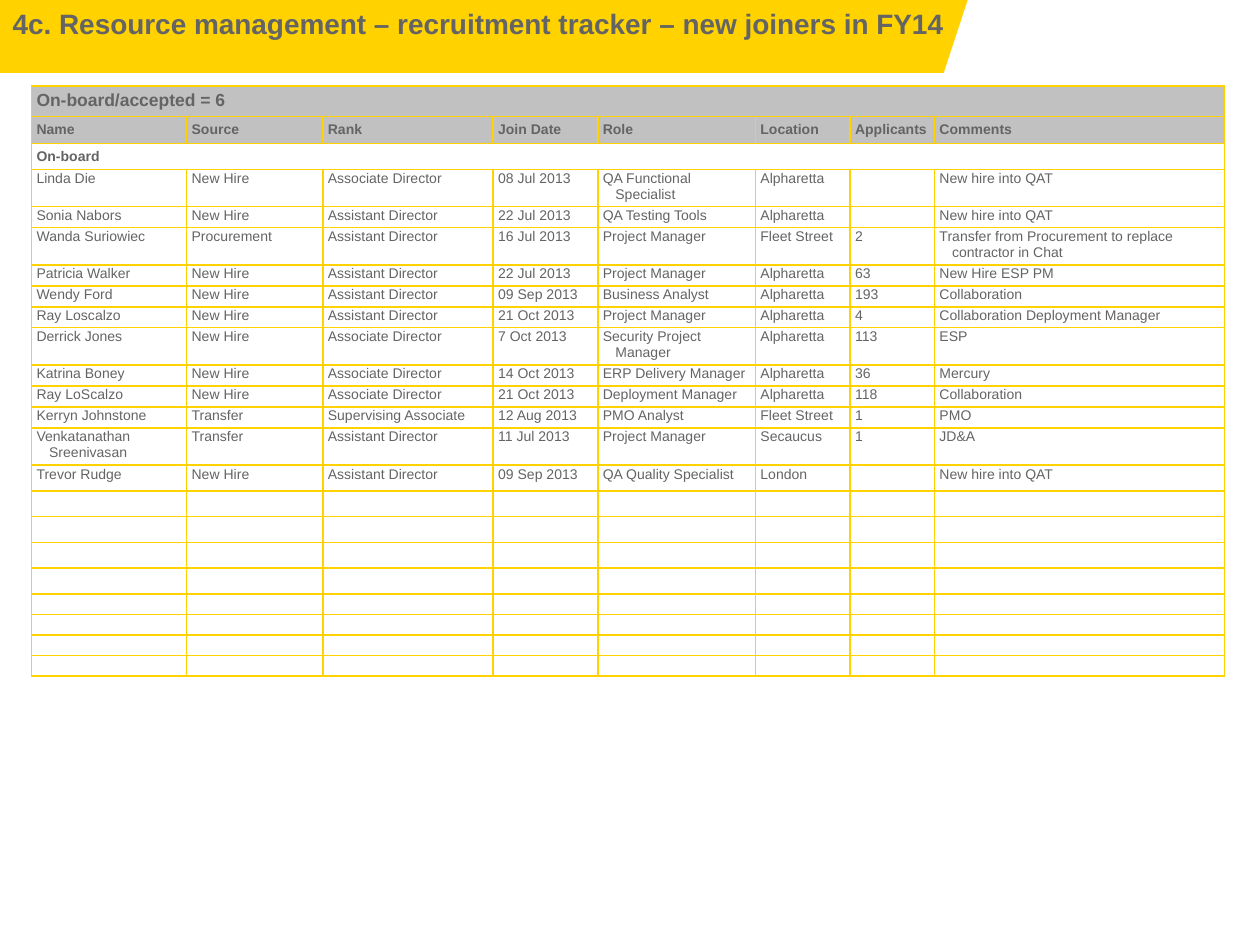
from dataclasses import dataclass

from lxml.etree import SubElement
from pptx import Presentation
from pptx.dml.color import RGBColor
from pptx.enum.text import MSO_ANCHOR, MSO_AUTO_SIZE, PP_ALIGN
from pptx.oxml.ns import qn
from pptx.util import Inches, Pt

YELLOW, GREY, SILVER, WHITE = "FFD200", "646464", "C1C1C1", "FFFFFF"
SLIDE_W, SLIDE_H = Inches(10), Inches(7.5)


@dataclass
class Row:
    texts: tuple = ()
    height: float = 12  # points
    size: float = 8
    bold: bool = False
    fill: str = WHITE
    inset: float = 0.01
    merged: bool = False
    clear: bool = False  # only the first cell is filled


COLUMNS = {"Name": 1.23, "Source": 1.08, "Rank": 1.35, "Join Date": 0.83,
           "Role": 1.25, "Location": 0.75, "Applicants": 0.67, "Comments": 2.3}
TALL = 21.25  # height of a row with two lines
AD, SD = "Assistant Director", "Associate Director"
PM, NEW, ALPHA = "Project Manager", "New Hire", "Alpharetta"

ROWS = [
    Row(("On-board/accepted = 6",), 17.5, 10, True, SILVER, 0.04, merged=True),
    Row(tuple(COLUMNS), 15.25, bold=True, fill=SILVER, inset=0.04),
    Row(("On-board",), 15, bold=True, inset=0.04, merged=True),
    Row(("Linda Die", NEW, SD, "08 Jul 2013", "QA Functional Specialist", ALPHA, "",
         "New hire into QAT"), TALL),
    Row(("Sonia Nabors", NEW, AD, "22 Jul 2013", "QA Testing Tools", ALPHA, "",
         "New hire into QAT")),
    Row(("Wanda Suriowiec", "Procurement", AD, "16 Jul 2013", PM, "Fleet Street", "2",
         "Transfer from Procurement to replace contractor in Chat"), TALL),
    Row(("Patricia Walker", NEW, AD, "22 Jul 2013", PM, ALPHA, "63", "New Hire ESP PM")),
    Row(("Wendy Ford", NEW, AD, "09 Sep 2013", "Business Analyst", ALPHA, "193",
         "Collaboration")),
    Row(("Ray Loscalzo", NEW, AD, "21 Oct 2013", PM, ALPHA, "4",
         "Collaboration Deployment Manager")),
    Row(("Derrick Jones", NEW, SD, "7 Oct 2013", "Security Project Manager", ALPHA, "113",
         "ESP"), TALL),
    Row(("Katrina Boney", NEW, SD, "14 Oct 2013", "ERP Delivery Manager", ALPHA, "36",
         "Mercury"), clear=True),
    Row(("Ray LoScalzo", NEW, SD, "21 Oct 2013", "Deployment Manager", ALPHA, "118",
         "Collaboration"), clear=True),
    Row(("Kerryn Johnstone", "Transfer", "Supervising Associate", "12 Aug 2013",
         "PMO Analyst", "Fleet Street", "1", "PMO"), clear=True),
    Row(("Venkatanathan Sreenivasan", "Transfer", AD, "11 Jul 2013", PM, "Secaucus", "1",
         "JD&A"), TALL, clear=True),
    Row(("Trevor Rudge", NEW, AD, "09 Sep 2013", "QA Quality Specialist", "London", "",
         "New hire into QAT"), 14.75, clear=True),
    *[Row(height=14.75, clear=True)] * 4,
    Row(height=11.75, clear=True),
    *[Row(height=11.75)] * 3,
]


def color(value: str) -> RGBColor:
    return RGBColor.from_string(value)


def across(share: float) -> int:
    return round(SLIDE_W * share)


def down(share: float) -> int:
    return round(SLIDE_H * share)


def write(p, text: str, *, size: float, bold: bool = False, after: float = 0) -> None:
    p.alignment = PP_ALIGN.LEFT
    p.space_before, p.space_after = Pt(0), Pt(after)
    if not text:
        SubElement(p._p, qn("a:endParaRPr"), sz=str(int(size * 100)))
        return
    r = p.add_run()
    r.text = text
    r.font.name, r.font.size, r.font.bold = "Arial", Pt(size), bold
    r.font.color.rgb = color(GREY)


def set_margins(box, x: float, y: float) -> None:
    box.margin_left = box.margin_right = Inches(x)
    box.margin_top = box.margin_bottom = Inches(y)


def add_borders(cell) -> None:
    tc_pr = cell._tc.get_or_add_tcPr()
    for side in "LRTB":
        ln = SubElement(tc_pr, qn(f"a:ln{side}"), w=str(Pt(1)))
        fill = SubElement(ln, qn("a:solidFill"))
        SubElement(fill, qn("a:srgbClr"), val=YELLOW)


def fill_cell(cell, text: str, row: Row, filled: bool) -> None:
    set_margins(cell, 0.04, row.inset)
    add_borders(cell)
    if filled:
        cell.fill.solid()
        cell.fill.fore_color.rgb = color(row.fill)
    else:
        cell.fill.background()
    p = cell.text_frame.paragraphs[0]
    p_pr = p._p.get_or_add_pPr()
    p_pr.set("marL", str(Inches(0.1)))
    p_pr.set("indent", str(-Inches(0.1)))
    write(p, text, size=row.size, bold=row.bold, after=row.size * 0.1)


def add_banner(s) -> None:
    right, slant, bottom = across(0.768), across(0.749), down(0.077)
    fb = s.shapes.build_freeform(right, 0)
    fb.add_line_segments([(slant, bottom), (0, bottom), (0, 0)], close=True)
    sp = fb.convert_to_shape()
    sp.shadow.inherit = False
    sp.fill.solid()
    sp.fill.fore_color.rgb = color(YELLOW)
    sp.line.fill.background()


def add_title(s, text: str) -> None:
    sp = s.shapes.title
    sp.left, sp.top, sp.width, sp.height = 0, 0, across(0.845), down(0.18)
    tf = sp.text_frame
    tf.word_wrap, tf.auto_size = True, MSO_AUTO_SIZE.NONE
    tf.vertical_anchor = MSO_ANCHOR.TOP
    set_margins(tf, 0.1, 0.05)
    write(tf.paragraphs[0], text, size=16, bold=True)
    sp.element.getparent().append(sp.element)  # in front of the banner


def add_tracker(s) -> None:
    width = across(0.947)
    height = Pt(sum(row.height for row in ROWS))
    table = s.shapes.add_table(len(ROWS), len(COLUMNS), across(0.025), down(0.091),
                               width, height).table
    table.first_row = table.horz_banding = False
    total = sum(COLUMNS.values())
    for column, weight in zip(table.columns, COLUMNS.values()):
        column.width = round(width * weight / total)
    for i, row in enumerate(ROWS):
        table.rows[i].height = Pt(row.height)
        for j in range(len(COLUMNS)):
            text = row.texts[j] if j < len(row.texts) else ""
            fill_cell(table.cell(i, j), text, row, j == 0 or not row.clear)
        if row.merged:
            table.cell(i, 0).merge(table.cell(i, len(COLUMNS) - 1))


def main() -> None:
    prs = Presentation()
    prs.slide_width, prs.slide_height = SLIDE_W, SLIDE_H
    s = prs.slides.add_slide(prs.slide_layouts[5])
    # Heading
    add_banner(s)
    add_title(s, "4c. Resource management – recruitment tracker – new joiners in FY14")
    # Recruitment table
    add_tracker(s)
    prs.save("out.pptx")


if __name__ == "__main__":
    main()
